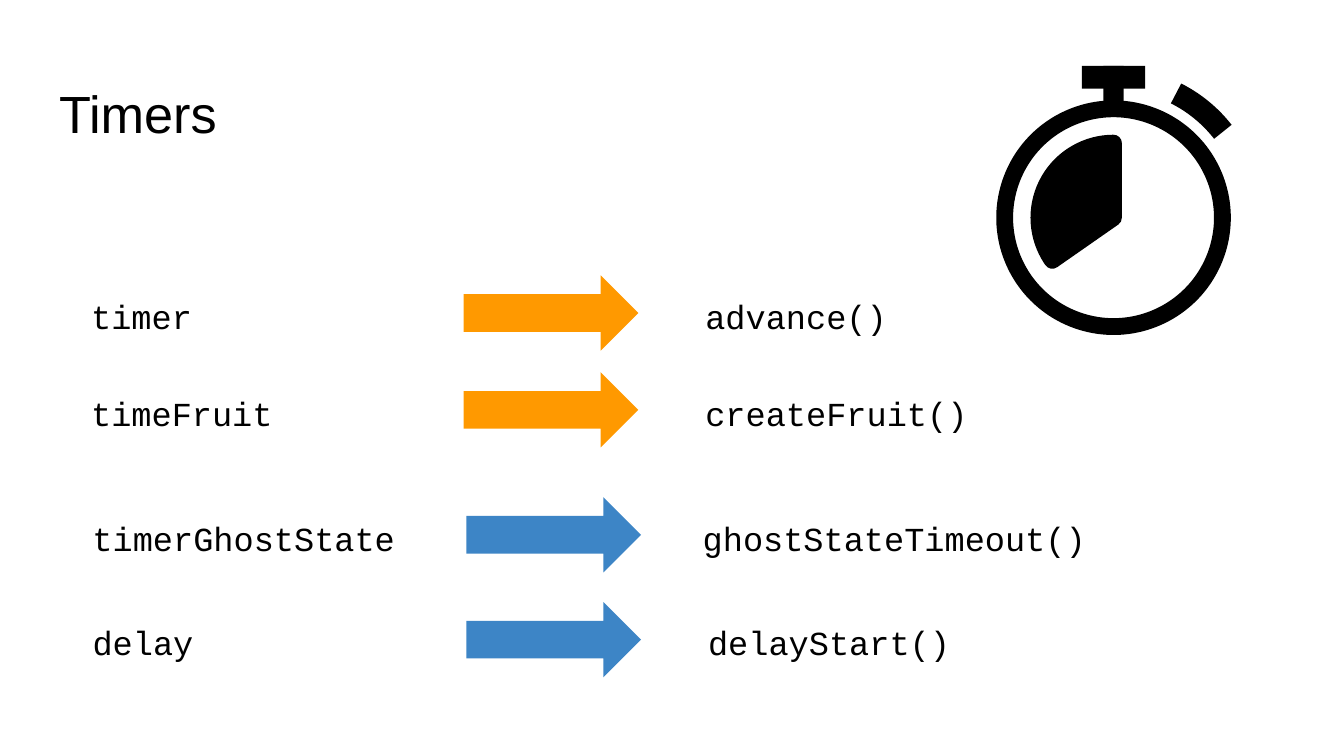
"""Build the Timers slide: a stopwatch and four timers with their callbacks."""
from typing import NamedTuple, Optional

from pptx import Presentation
from pptx.dml.color import RGBColor
from pptx.enum.shapes import MSO_SHAPE
from pptx.enum.text import MSO_ANCHOR, PP_ALIGN
from pptx.util import Inches, Pt

BLACK = RGBColor(0x00, 0x00, 0x00)
ORANGE = RGBColor(0xFF, 0x99, 0x00)
BLUE = RGBColor(0x3D, 0x85, 0xC6)
ELLIPSE, PIE, ARC = MSO_SHAPE.OVAL, MSO_SHAPE.PIE, MSO_SHAPE.ARC
RECTANGLE, RIGHT_ARROW = MSO_SHAPE.RECTANGLE, MSO_SHAPE.RIGHT_ARROW
TOP, MIDDLE, LEFT = MSO_ANCHOR.TOP, MSO_ANCHOR.MIDDLE, PP_ALIGN.LEFT

CELL = Inches(0.1)
COLUMNS, ROWS = 100, 56.25
TITLE_LAYOUT = 5
TEXT_HEIGHT = 4.9
ARROW_WIDTH, ARROW_HEIGHT = 13, 5.6
WATCH_X, WATCH_Y = 82.85, 16.2


class Area(NamedTuple):
    """A rectangle in grid columns and rows."""
    left: float
    top: float
    width: float
    height: float


class Part(NamedTuple):
    """A piece of the stopwatch, placed by its centre."""
    kind: int
    center_y: float
    width: float
    height: float
    filled: bool = True
    line: Optional[float] = None
    angles: tuple = ()
    rotation: float = 0


class Timer(NamedTuple):
    """A timer, the function it calls and where they stand."""
    name: str
    call: str
    top: float
    name_left: float
    name_width: float
    call_left: float
    call_width: float
    arrow_left: float
    arrow_top: float
    color: RGBColor


WATCH = (
    Part(ELLIPSE, WATCH_Y, 16.2, 16.2, filled=False, line=9),
    Part(PIE, WATCH_Y, 11.1, 11.1, line=9, angles=(87.08, 162)),
    Part(ARC, WATCH_Y, 20.7, 20.7, filled=False, line=12, angles=(178.06, 193.13)),
    Part(RECTANGLE, 6.5, 1.5, 3.2),
    Part(RECTANGLE, 5.75, 1.7, 4.7, rotation=90),
)
TIMERS = (
    Timer("timer", "advance()", 20.6, 5.8, 11.5, 51.5, 16.7, 34.5, 20.5, ORANGE),
    Timer("timeFruit", "createFruit()", 27.8, 5.8, 19.4, 51.5, 22.3, 34.5, 27.7, ORANGE),
    Timer("timerGhostState", "ghostStateTimeout()", 37.1, 5.9, 27, 51.3, 31.1, 34.7, 37, BLUE),
    Timer("delay", "delayStart()", 44.8, 5.9, 11.5, 51.7, 23.1, 34.7, 44.8, BLUE),
)


def lengths(area: Area) -> list:
    """Turn grid units into slide lengths."""
    return [round(CELL * value) for value in area]


def write(box, text: str, font: str, size: float, anchor: int) -> None:
    """Fill a box with one left-aligned paragraph."""
    frame = box.text_frame
    frame.word_wrap = True
    frame.vertical_anchor = anchor
    frame.margin_left = frame.margin_right = CELL
    frame.margin_top = frame.margin_bottom = CELL
    frame.text = text
    para = frame.paragraphs[0]
    para.alignment = LEFT
    para.line_spacing = 1.15
    para.font.name = font
    para.font.size = Pt(size)
    para.font.color.rgb = BLACK


def draw_shape(page, kind: int, area: Area, fill: Optional[RGBColor],
               line: Optional[float] = None):
    """Add a flat preset shape."""
    shape = page.shapes.add_shape(kind, *lengths(area))
    shape.shadow.inherit = False
    if fill is None:
        shape.fill.background()
    else:
        shape.fill.solid()
        shape.fill.fore_color.rgb = fill
    if line is None:
        shape.line.fill.background()
    else:
        shape.line.color.rgb = BLACK
        shape.line.width = Pt(line)
    return shape


def draw_part(page, part: Part) -> None:
    """Add one piece of the stopwatch on its vertical axis."""
    area = Area(WATCH_X - part.width / 2, part.center_y - part.height / 2,
                part.width, part.height)
    shape = draw_shape(page, part.kind, area, BLACK if part.filled else None, part.line)
    shape.rotation = part.rotation
    for index, angle in enumerate(part.angles):
        shape.adjustments[index] = angle


def draw_timer(page, timer: Timer) -> None:
    """Add a timer's name, its function and the arrow between them."""
    for text, left, width in ((timer.name, timer.name_left, timer.name_width),
                              (timer.call, timer.call_left, timer.call_width)):
        area = Area(left, timer.top, width, TEXT_HEIGHT)
        write(page.shapes.add_textbox(*lengths(area)), text, "Courier New", 18, TOP)
    area = Area(timer.arrow_left, timer.arrow_top, ARROW_WIDTH, ARROW_HEIGHT)
    draw_shape(page, RIGHT_ARROW, area, timer.color)


def main() -> None:
    """Build and save the deck."""
    deck = Presentation()
    deck.slide_width, deck.slide_height = round(CELL * COLUMNS), round(CELL * ROWS)
    page = deck.slides.add_slide(deck.slide_layouts[TITLE_LAYOUT])
    title = page.shapes.title
    title.left, title.top, title.width, title.height = lengths(Area(3.4, 4.9, 93.2, 6.3))
    write(title, "Timers", "Arial", 28, MIDDLE)
    for part in WATCH:
        draw_part(page, part)
    for timer in TIMERS:
        draw_timer(page, timer)
    deck.save("out.pptx")


if __name__ == "__main__":
    main()
